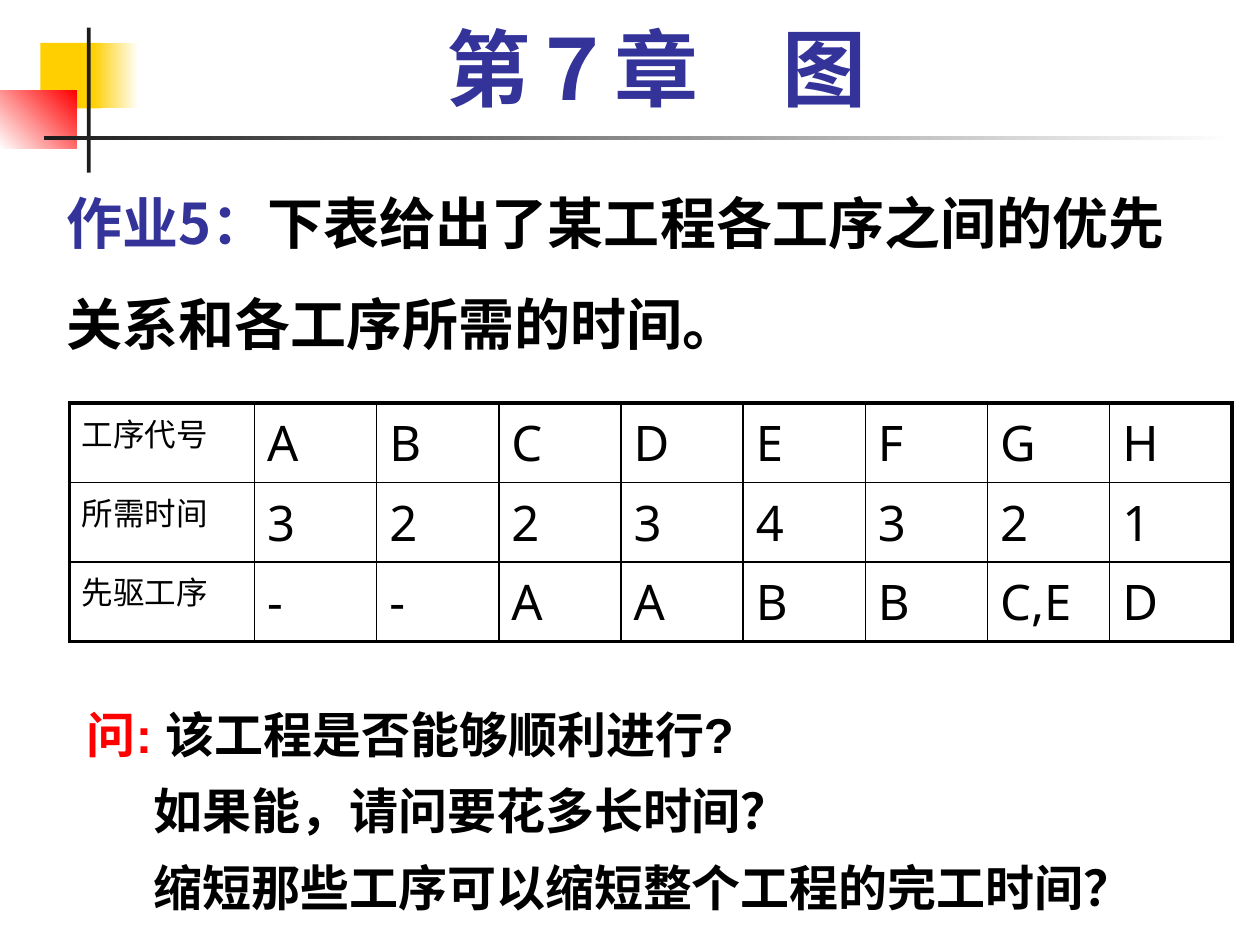
from dataclasses import dataclass

from lxml import etree
from pptx import Presentation
from pptx.dml.color import RGBColor
from pptx.enum.shapes import MSO_SHAPE
from pptx.enum.text import MSO_ANCHOR, MSO_AUTO_SIZE, PP_ALIGN
from pptx.oxml.ns import qn
from pptx.util import Inches, Pt

RECTANGLE = MSO_SHAPE.RECTANGLE
TOP, BOTTOM = MSO_ANCHOR.TOP, MSO_ANCHOR.BOTTOM
NO_AUTOFIT = MSO_AUTO_SIZE.NONE
LEFT, CENTER = PP_ALIGN.LEFT, PP_ALIGN.CENTER


@dataclass(frozen=True)
class Theme:
    indigo: str = "333399"
    black: str = "000000"
    red: str = "FF0000"
    yellow: str = "FFCF01"
    charcoal: str = "1C1C1C"
    white: str = "FFFFFF"
    title_size: float = 48
    task_size: float = 32
    question_size: float = 28
    value_size: float = 28
    label_size: float = 18
    outer_border: float = 2.25
    inner_border: float = 1
    title_font: str = "Times New Roman"
    task_font: str = "Noto Sans CJK SC"
    question_font: str = "Arial"
    table_font: str = "Noto Sans"
    chinese_font: str = "Noto Sans CJK SC"


THEME = Theme()


@dataclass(frozen=True)
class Block:
    """A decorative rectangle; two colours make a gradient."""
    box: tuple[float, float, float, float]
    colors: tuple[str, ...]
    angle: float = 0


BLOCKS = (
    Block((0.32, 0.34, 0.48, 0.52), (THEME.yellow,)),
    Block((0.74, 0.34, 0.36, 0.52), (THEME.yellow, THEME.white)),
    Block((0, 0.72, 0.61, 0.46), (THEME.white, THEME.red), 45),
    Block((0.69, 0.22, 0.03, 1.15), (THEME.charcoal,)),
    Block((0.35, 1.08, 9.45, 0.03), (THEME.charcoal, THEME.white)),
)

PROCESS_ROWS = (
    ("工序代号", "A", "B", "C", "D", "E", "F", "G", "H"),
    ("所需时间", "3", "2", "2", "3", "4", "3", "2", "1"),
    ("先驱工序", "-", "-", "A", "A", "B", "B", "C,E", "D"),
)

QUESTIONS = (
    "如果能，请问要花多长时间？",
    "缩短那些工序可以缩短整个工程的完工时间？",
)


def add_text(paragraph, text: str, *, size: float, font: str,
             color: str = THEME.black, bold: bool = True) -> None:
    run = paragraph.add_run()
    run.text = text
    run.font.size = Pt(size)
    run.font.bold = bold
    run.font.name = font
    run.font.color.rgb = RGBColor.from_string(color)
    east_asian = etree.SubElement(run.font._element, qn("a:ea"))
    east_asian.set("typeface", THEME.chinese_font)


def format_paragraph(paragraph, *, line_spacing: float = 1, before: float = 0,
                     indent: float = 0, align=LEFT) -> None:
    paragraph.line_spacing = line_spacing
    paragraph.space_before = Pt(before)
    paragraph.alignment = align
    properties = paragraph._p.get_or_add_pPr()
    properties.set("marL", str(Inches(indent)))
    properties.set("indent", "0")
    etree.SubElement(properties, qn("a:buNone"))


def place_text(shape, box: tuple[float, ...], anchor=TOP):
    shape.left, shape.top, shape.width, shape.height = map(Inches, box)
    frame = shape.text_frame
    frame.word_wrap = True
    frame.auto_size = NO_AUTOFIT
    frame.vertical_anchor = anchor
    return frame


def draw_block(slide, block: Block) -> None:
    shape = slide.shapes.add_shape(RECTANGLE, *map(Inches, block.box))
    shape.shadow.inherit = False
    shape.line.fill.background()
    if len(block.colors) == 1:
        shape.fill.solid()
        shape.fill.fore_color.rgb = RGBColor.from_string(block.colors[0])
        return
    shape.fill.gradient()
    shape.fill.gradient_angle = block.angle
    for position, (stop, color) in enumerate(
            zip(shape.fill.gradient_stops, block.colors)):
        stop.position = position
        stop.color.rgb = RGBColor.from_string(color)


def draw_border(cell, side: str, width: float) -> None:
    line = etree.SubElement(cell._tc.get_or_add_tcPr(), qn(f"a:ln{side}"))
    line.set("w", str(Pt(width)))
    fill = etree.SubElement(line, qn("a:solidFill"))
    etree.SubElement(fill, qn("a:srgbClr")).set("val", THEME.black)


def draw_process_table(slide) -> None:
    row_count, column_count = len(PROCESS_ROWS), len(PROCESS_ROWS[0])
    table = slide.shapes.add_table(
        row_count, column_count,
        Inches(0.55), Inches(3.2), Inches(9.25), Inches(1.88)).table
    table.first_row = table.horz_banding = False
    for index, column in enumerate(table.columns):
        column.width = Inches(0.97 if index else 1.47)
    for row in table.rows:
        row.height = Inches(0.63)

    for r, values in enumerate(PROCESS_ROWS):
        for c, value in enumerate(values):
            cell = table.cell(r, c)
            size = THEME.value_size if c else THEME.label_size
            paragraph = cell.text_frame.paragraphs[0]
            format_paragraph(paragraph, before=size * 0.2)
            add_text(paragraph, value, size=size, font=THEME.table_font,
                     bold=False)
            outer_sides = {"L": c == 0, "R": c == column_count - 1,
                           "T": r == 0, "B": r == row_count - 1}
            for side, is_outer in outer_sides.items():
                draw_border(cell, side, THEME.outer_border if is_outer
                            else THEME.inner_border)
            cell.fill.background()


def write_title(slide) -> None:
    frame = place_text(slide.shapes.title, (0.67, 0.17, 9.08, 0.83))
    paragraph = frame.paragraphs[0]
    format_paragraph(paragraph, line_spacing=0.9,
                     before=THEME.title_size * 0.2, align=CENTER)
    add_text(paragraph, "第７章\u3000图".replace("\u3000", "　"),
             size=THEME.title_size, font=THEME.title_font, color=THEME.indigo)


def write_task(slide) -> None:
    box = (0.43, 1.23, 9.29, 1.65)
    task = slide.shapes.add_textbox(*map(Inches, box))
    paragraph = place_text(task, box, BOTTOM).paragraphs[0]
    format_paragraph(paragraph, line_spacing=1.5)
    style = {"size": THEME.task_size, "font": THEME.task_font}
    add_text(paragraph, "作业5：", color=THEME.indigo, **style)
    add_text(paragraph, "下表给出了某工程各工序之间的优先关系和各工序所需的时间。",
             **style)


def write_questions(slide) -> None:
    frame = place_text(slide.placeholders[1], (0.59, 5.4, 8.62, 1.92))
    style = {"size": THEME.question_size, "font": THEME.question_font}
    opening = frame.paragraphs[0]
    format_paragraph(opening, line_spacing=1.3)
    add_text(opening, "问:", color=THEME.red, **style)
    add_text(opening, " 该工程是否能够顺利进行?", **style)
    for question in QUESTIONS:
        paragraph = frame.add_paragraph()
        format_paragraph(paragraph, line_spacing=1.3, indent=0.53)
        add_text(paragraph, question, **style)


def main() -> None:
    deck = Presentation()
    deck.slide_width, deck.slide_height = Inches(10), Inches(7.5)
    slide = deck.slides.add_slide(deck.slide_layouts[1])

    # Corner decoration and rule under the title
    for block in BLOCKS:
        draw_block(slide, block)

    # Chapter title, exercise, data and questions
    write_title(slide)
    write_task(slide)
    draw_process_table(slide)
    write_questions(slide)
    deck.save("out.pptx")


if __name__ == "__main__":
    main()
